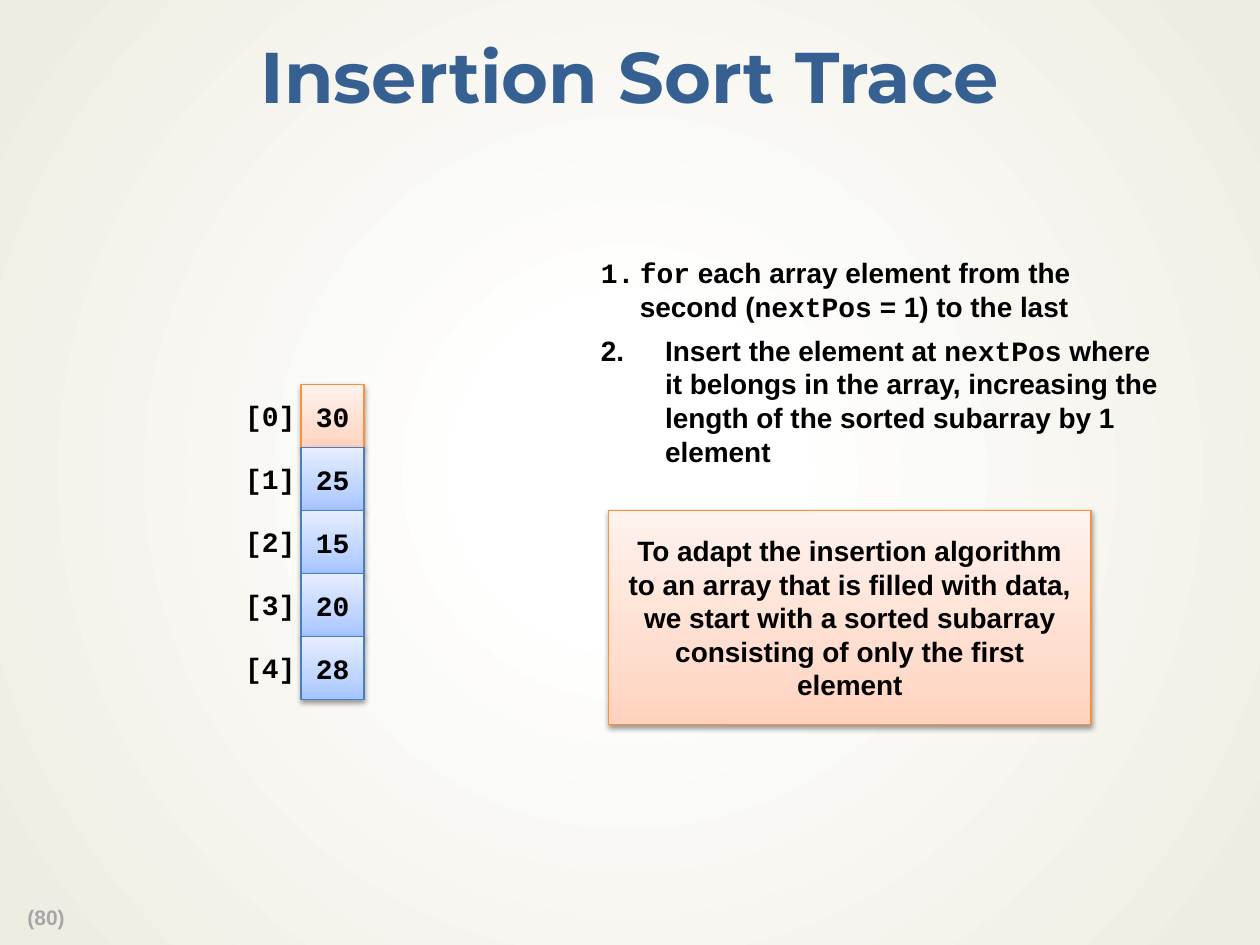
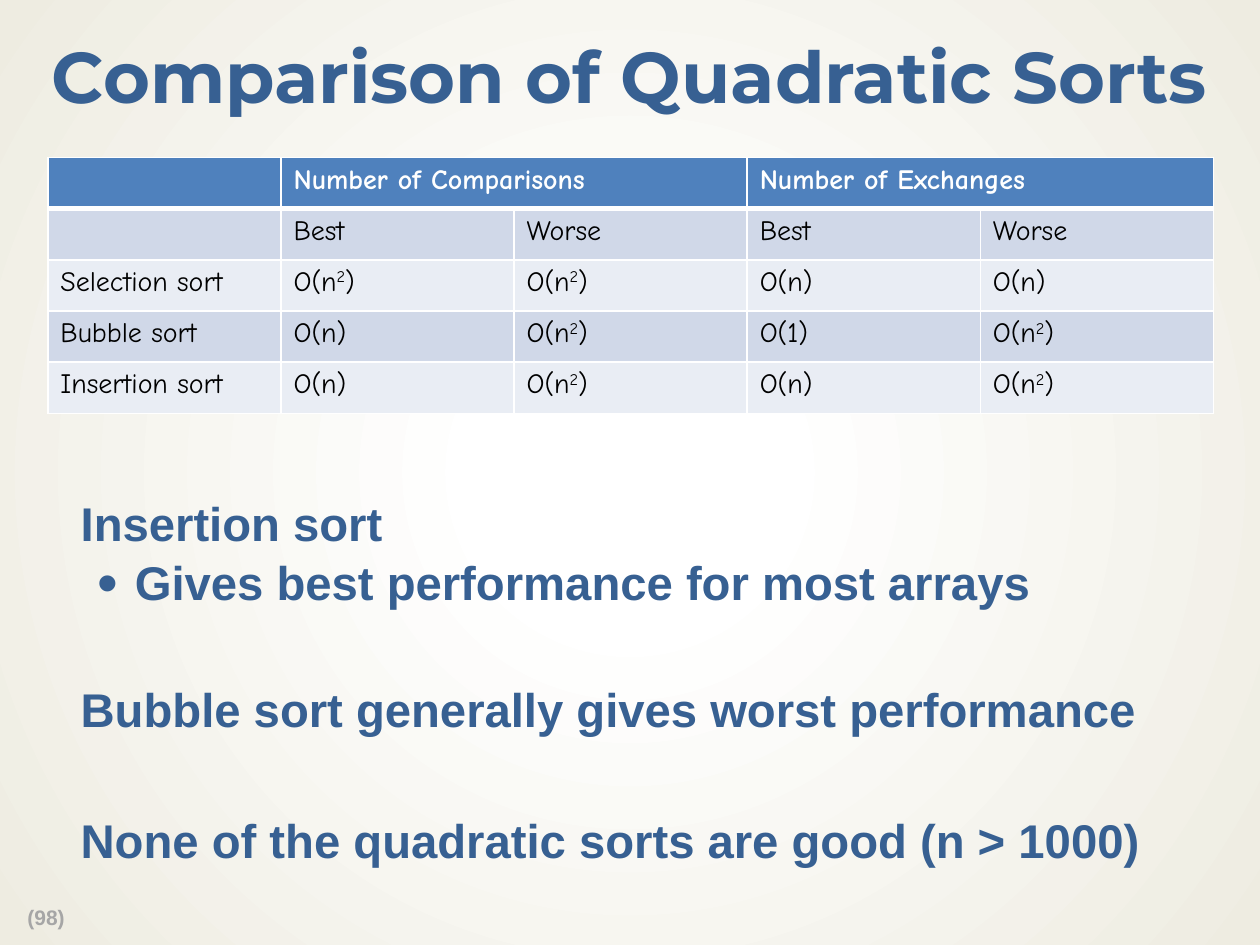
from dataclasses import dataclass
from typing import NamedTuple

from lxml import etree
from pptx import Presentation
from pptx.dml.color import RGBColor
from pptx.enum.shapes import MSO_SHAPE
from pptx.enum.text import MSO_ANCHOR, MSO_AUTO_SIZE, PP_ALIGN
from pptx.oxml.ns import qn
from pptx.util import Inches, Pt

SLIDE_WIDTH, SLIDE_HEIGHT = Inches(10), Inches(7.5)
RECTANGLE = MSO_SHAPE.RECTANGLE
MIDDLE, TOP = MSO_ANCHOR.MIDDLE, MSO_ANCHOR.TOP
CENTER, LEFT = PP_ALIGN.CENTER, PP_ALIGN.LEFT
NO_AUTOFIT = MSO_AUTO_SIZE.NONE

BLACK, WHITE, NAVY, GREY = "000000", "FFFFFF", "376092", "A6A6A6"
HEADER_BLUE, BAND_DARK, BAND_LIGHT = "4F81BD", "D0D8E8", "E9EDF4"


class Stop(NamedTuple):
    position: int
    color: str
    alpha: int = 100


class Box(NamedTuple):
    """Place and size in percent of the slide's width and height."""
    left: float
    top: float
    width: float
    height: float

    def lengths(self) -> tuple[int, int, int, int]:
        return (int(SLIDE_WIDTH * self.left / 100), int(SLIDE_HEIGHT * self.top / 100),
                int(SLIDE_WIDTH * self.width / 100), int(SLIDE_HEIGHT * self.height / 100))


@dataclass(frozen=True)
class TextStyle:
    size: float
    font: str = "Arial"
    color: str = BLACK
    bold: bool = True
    align: PP_ALIGN = LEFT
    line_spacing: float = 1.0


@dataclass(frozen=True)
class Panel:
    stops: tuple[Stop, ...]
    line: str


@dataclass(frozen=True)
class Point:
    text: str
    space_before: float = 0
    bullet: bool = False


TITLE = TextStyle(41, "Montserrat", NAVY, align=CENTER, line_spacing=0.9)
PAGE_NUMBER = TextStyle(12, color=GREY, line_spacing=0.9)
CODE = TextStyle(16, "Courier New", align=CENTER)
STEP = TextStyle(16)
NOTE = TextStyle(16, align=CENTER)
POINT = TextStyle(27, color=NAVY, line_spacing=0.9)
TABLE_HEADER = TextStyle(16, "Comic Neue", WHITE)
TABLE_BODY = TextStyle(16, "Comic Neue", bold=False)

ORANGE_PANEL = Panel((Stop(0, "FFD2BD"), Stop(35, "FFDED0"), Stop(100, "FFF2ED")), "F69240")
BLUE_PANEL = Panel((Stop(0, "A4C4FF"), Stop(35, "BFD4FF"), Stop(100, "E6EEFF")), "4B7EBC")
BACKGROUND = (Stop(18, WHITE, 53), Stop(100, "EEECE1"))

TITLE_BOX = Box(0, 2.27, 100, 12.53)
PAGE_NUMBER_BOX = Box(1.2, 95.33, 6, 3.73)
STEPS_BOX = Box(46.7, 26.4, 47.5, 28.67)
NOTE_BOX = Box(48.3, 54, 38.3, 22.67)
FIRST_CELL = Box(23.9, 40.67, 5, 6.67)
FIRST_INDEX = Box(17.8, 41.47, 7.3, 4.93)
TABLE_BOX = Box(3.8, 16.67, 92.5, 27.07)
POINTS_BOX = Box(3.8, 52.13, 92.5, 38)

ARRAY_VALUES = (30, 25, 15, 20, 28)
# Backticks enclose code; the number is the hanging indent in inches.
STEPS = (
    ("`for` each array element from the second (`nextPos` = 1) to the last", 0.31),
    ("Insert the element at `nextPos` where it belongs in the array, "
     "increasing the length of the sorted subarray by 1 element", 0.51),
)
NOTE_TEXT = ("To adapt the insertion algorithm to an array that is filled with data, "
             "we start with a sorted subarray consisting of only the first element")
# A caret raises the character after it.
SORT_COSTS = (
    ("", "Number of Comparisons", "", "Number of Exchanges", ""),
    ("", "Best", "Worse", "Best", "Worse"),
    ("Selection sort", "O(n^2)", "O(n^2)", "O(n)", "O(n)"),
    ("Bubble sort", "O(n)", "O(n^2)", "O(1)", "O(n^2)"),
    ("Insertion sort", "O(n)", "O(n^2)", "O(n)", "O(n^2)"),
)
POINTS = (
    Point("Insertion sort"),
    Point("Gives best performance for most arrays", 5, True),
    Point("Bubble sort generally gives worst performance", 43),
    Point("None of the quadratic sorts are good (n > 1000)", 46),
)


def rgb(color: str) -> RGBColor:
    return RGBColor.from_string(color)


def add_element(parent, tag: str, **attributes):
    element = etree.SubElement(parent, qn(tag))
    for name, value in attributes.items():
        element.set(name, str(value))
    return element


def add_color(parent, color: str, alpha: int = 100) -> None:
    element = add_element(parent, "a:srgbClr", val=color)
    if alpha < 100:
        add_element(element, "a:alpha", val=alpha * 1000)


def paint_gradient(fill, properties, stops: tuple[Stop, ...], circular: bool = False) -> None:
    """Give the owner of properties a gradient, upward or from the centre outward."""
    fill.solid()
    solid = properties.find(qn("a:solidFill"))
    gradient = etree.Element(qn("a:gradFill"), rotWithShape="1")
    stop_list = add_element(gradient, "a:gsLst")
    for stop in stops:
        add_color(add_element(stop_list, "a:gs", pos=stop.position * 1000), stop.color, stop.alpha)
    if circular:
        center = add_element(gradient, "a:path", path="circle")
        add_element(center, "a:fillToRect", l=50000, t=50000, r=50000, b=50000)
    else:
        add_element(gradient, "a:lin", ang=270 * 60000, scaled=0)
    properties.replace(solid, gradient)


def format_paragraph(paragraph, style: TextStyle) -> None:
    font = paragraph.font
    font.name, font.size, font.bold = style.font, Pt(style.size), style.bold
    font.color.rgb = rgb(style.color)
    paragraph.alignment = style.align
    paragraph.line_spacing = style.line_spacing


def write(frame, text: str, style: TextStyle, anchor: MSO_ANCHOR = TOP) -> None:
    frame.word_wrap, frame.auto_size, frame.vertical_anchor = True, NO_AUTOFIT, anchor
    frame.text = text
    format_paragraph(frame.paragraphs[0], style)


def set_margins(frame, side: float, end: float) -> None:
    frame.margin_left = frame.margin_right = Inches(side)
    frame.margin_top = frame.margin_bottom = Inches(end)


def indent(paragraph, left: float, hanging: float):
    """Indent a paragraph and return its properties."""
    properties = paragraph._p.get_or_add_pPr()
    properties.set("marL", str(Inches(left)))
    properties.set("indent", str(-Inches(hanging)))
    return properties


def add_bullet_parts(properties, *parts: tuple[str, dict[str, str]]) -> None:
    """Put bullet elements ahead of the default run properties."""
    default_font = properties.find(qn("a:defRPr"))
    for tag, attributes in parts:
        default_font.addprevious(etree.Element(qn(tag), attributes))


def add_text(slide, box: Box, text: str, style: TextStyle) -> None:
    write(slide.shapes.add_textbox(*box.lengths()).text_frame, text, style)


def add_panel(slide, box: Box, panel: Panel, text: str, style: TextStyle) -> None:
    shape = slide.shapes.add_shape(RECTANGLE, *box.lengths())
    properties = shape._element.spPr
    paint_gradient(shape.fill, properties, panel.stops)
    shape.line.color.rgb, shape.line.width = rgb(panel.line), Pt(0.75)
    shape.shadow.inherit = False
    shadow = add_element(properties.find(qn("a:effectLst")), "a:outerShdw", blurRad=Pt(3.1),
                         dist=Pt(1.6), dir=90 * 60000, rotWithShape=0)
    add_color(shadow, BLACK, 38)
    write(shape.text_frame, text, style, MIDDLE)


def add_titled_slide(presentation, title: str, number: int):
    slide = presentation.slides.add_slide(presentation.slide_layouts.get_by_name("Title Only"))
    heading = slide.shapes.title
    heading.left, heading.top, heading.width, heading.height = TITLE_BOX.lengths()
    set_margins(heading.text_frame, 0.13, 0.06)
    write(heading.text_frame, title, TITLE, MIDDLE)
    add_text(slide, PAGE_NUMBER_BOX, f"({number})", PAGE_NUMBER)
    return slide


def add_array(slide) -> None:
    for index, value in enumerate(ARRAY_VALUES):
        drop = index * FIRST_CELL.height
        add_panel(slide, FIRST_CELL._replace(top=FIRST_CELL.top + drop),
                  BLUE_PANEL if index else ORANGE_PANEL, str(value), CODE)
        add_text(slide, FIRST_INDEX._replace(top=FIRST_INDEX.top + drop), f"[{index}]", CODE)


def add_steps(slide) -> None:
    frame = slide.shapes.add_textbox(*STEPS_BOX.lengths()).text_frame
    frame.word_wrap = True
    for number, (text, hanging) in enumerate(STEPS):
        paragraph = frame.add_paragraph() if number else frame.paragraphs[0]
        format_paragraph(paragraph, STEP)
        paragraph.space_after = Pt(6)
        add_bullet_parts(indent(paragraph, hanging, hanging),
                         ("a:buAutoNum", {"type": "arabicPeriod"}))
        for part, piece in enumerate(text.split("`")):
            if piece:
                run = paragraph.add_run()
                run.text = piece
                run.font.name = CODE.font if part % 2 else STEP.font


def fill_cell(cell, text: str, style: TextStyle, color: str, bottom_width: float) -> None:
    cell.fill.solid()
    cell.fill.fore_color.rgb = rgb(color)
    properties = cell._tc.get_or_add_tcPr()
    for position, side in enumerate("LRTB"):
        border = etree.Element(qn(f"a:ln{side}"), w=str(Pt(bottom_width if side == "B" else 1)))
        add_color(add_element(border, "a:solidFill"), WHITE)
        properties.insert(position, border)
    paragraph = cell.text_frame.paragraphs[0]
    format_paragraph(paragraph, style)
    base, _, raised = text.partition("^")
    for piece, baseline in ((base, 0), (raised[:1], 30000), (raised[1:], 0)):
        if piece:
            run = paragraph.add_run()
            run.text = piece
            if baseline:
                run._r.get_or_add_rPr().set("baseline", str(baseline))


def add_cost_table(slide) -> None:
    table = slide.shapes.add_table(len(SORT_COSTS), len(SORT_COSTS[0]), *TABLE_BOX.lengths()).table
    for row, texts in enumerate(SORT_COSTS):
        band = BAND_DARK if row % 2 else BAND_LIGHT
        for column, text in enumerate(texts):
            cell = table.cell(row, column)
            if row:
                fill_cell(cell, text, TABLE_BODY, band, 1)
            else:
                fill_cell(cell, text, TABLE_HEADER, HEADER_BLUE, 3)
    for column in (1, 3):
        table.cell(0, column).merge(table.cell(0, column + 1))


def add_points(slide) -> None:
    frame = slide.shapes.add_textbox(*POINTS_BOX.lengths()).text_frame
    frame.word_wrap = True
    set_margins(frame, 0.12, 0.06)
    for number, point in enumerate(POINTS):
        paragraph = frame.add_paragraph() if number else frame.paragraphs[0]
        paragraph.text = point.text
        format_paragraph(paragraph, POINT)
        paragraph.space_before = Pt(point.space_before)
        if point.bullet:
            paragraph.level = 1
            add_bullet_parts(indent(paragraph, 0.57, 0.3), ("a:buSzPct", {"val": "125000"}),
                             ("a:buFont", {"typeface": "Arial"}), ("a:buChar", {"char": "•"}))
        else:
            indent(paragraph, 0.14, 0)


def main() -> None:
    presentation = Presentation()
    presentation.slide_width, presentation.slide_height = SLIDE_WIDTH, SLIDE_HEIGHT
    master = presentation.slide_master
    fill = master.background.fill
    paint_gradient(fill, master.element.find(f".//{qn('p:bgPr')}"), BACKGROUND, circular=True)

    trace = add_titled_slide(presentation, "Insertion Sort Trace", 80)
    add_array(trace)
    add_steps(trace)
    add_panel(trace, NOTE_BOX, ORANGE_PANEL, NOTE_TEXT, NOTE)

    comparison = add_titled_slide(presentation, "Comparison of Quadratic Sorts", 98)
    add_cost_table(comparison)
    add_points(comparison)
    presentation.save("out.pptx")


if __name__ == "__main__":
    main()
